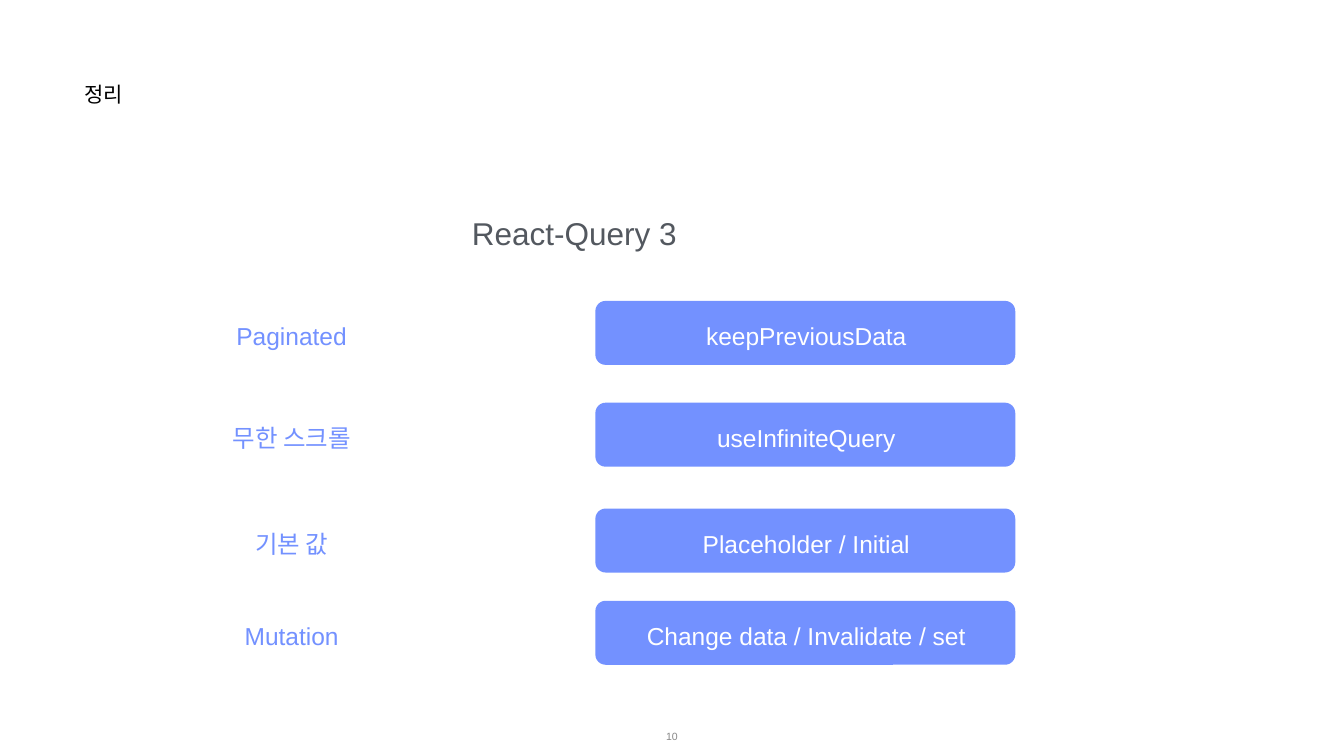
from pptx import Presentation, util as u
from pptx.dml.color import RGBColor
from pptx.enum import shapes, text

PX = 9144  # EMU per px, 100 px to the inch
SLIDE_W, SLIDE_H = 2666, 1500
BLUE, WHITE, BLACK, SLATE, GREY = "7391FF", "FFFFFF", "000000", "53585F", "888888"

# Top of each row, topic, React-Query answer
ROWS = [
    (597, "Paginated", "keepPreviousData"),
    (799, "무한 스크롤", "useInfiniteQuery"),
    (1009, "기본 값", "Placeholder / Initial"),
    (1192, "Mutation", "Change data / Invalidate / set"),
]


def color(hex_value):
    return RGBColor.from_string(hex_value)


def emu(*lengths):
    return [u.Emu(length * PX) for length in lengths]


def write(holder, words, size, fill, align=text.PP_ALIGN.CENTER,
          anchor=text.MSO_ANCHOR.MIDDLE, inset=1):
    frame = holder.text_frame
    frame.word_wrap = True
    frame.auto_size = text.MSO_AUTO_SIZE.NONE
    frame.vertical_anchor = anchor
    frame.margin_left, frame.margin_top, frame.margin_right, frame.margin_bottom = emu(*[inset] * 4)
    paragraph = frame.paragraphs[0]
    paragraph.alignment = align
    run = paragraph.add_run()
    run.text = words
    run.font.name = "Arial"
    run.font.size = u.Pt(size)
    run.font.color.rgb = color(fill)


def add_label(slide, box, words, size, fill, **options):
    write(slide.shapes.add_textbox(*emu(*box)), words, size, fill, **options)


def add_title(slide, box):
    title = slide.shapes.title
    title.left, title.top, title.width, title.height = emu(*box)
    write(title, "정리", 30, BLACK, align=text.PP_ALIGN.LEFT,
          anchor=text.MSO_ANCHOR.TOP)


def add_row(slide, box, topic, answer):
    left, top, width, height = box
    topic_w, answer_w = 625, 833
    answer_left = left + width - answer_w
    text_top, text_h = top + 38, 62

    # Rounded bar behind the answer
    bar = slide.shapes.add_shape(shapes.MSO_SHAPE.ROUNDED_RECTANGLE,
                                 *emu(answer_left, top, answer_w, height))
    bar.adjustments[0] = 0.16
    bar.shadow.inherit = False
    bar.fill.solid()
    bar.fill.fore_color.rgb = color(BLUE)
    bar.line.fill.background()

    # Topic and answer
    add_label(slide, (left + 2, text_top, topic_w, text_h), topic, 35, BLUE)
    add_label(slide, (answer_left + 2, text_top, answer_w, text_h), answer, 35, WHITE)


def add_summary(slide, box):
    left, top, width, _ = box
    add_label(slide, (left, top, width, 79), "React-Query 3", 45, SLATE,
              anchor=text.MSO_ANCHOR.TOP)
    for row_top, topic, answer in ROWS:
        add_row(slide, (left, row_top, width, 127), topic, answer)


def main():
    deck = Presentation()
    deck.slide_width, deck.slide_height = emu(SLIDE_W, SLIDE_H)
    slide = deck.slides.add_slide(deck.slide_layouts[5])

    add_title(slide, (167, 160, 486, 118))
    add_summary(slide, (264, 424, 1750, 895))
    # Page number
    add_label(slide, (1033, 1421, 600, 79), "10", 15, GREY, inset=5)

    deck.save("out.pptx")


if __name__ == "__main__":
    main()
